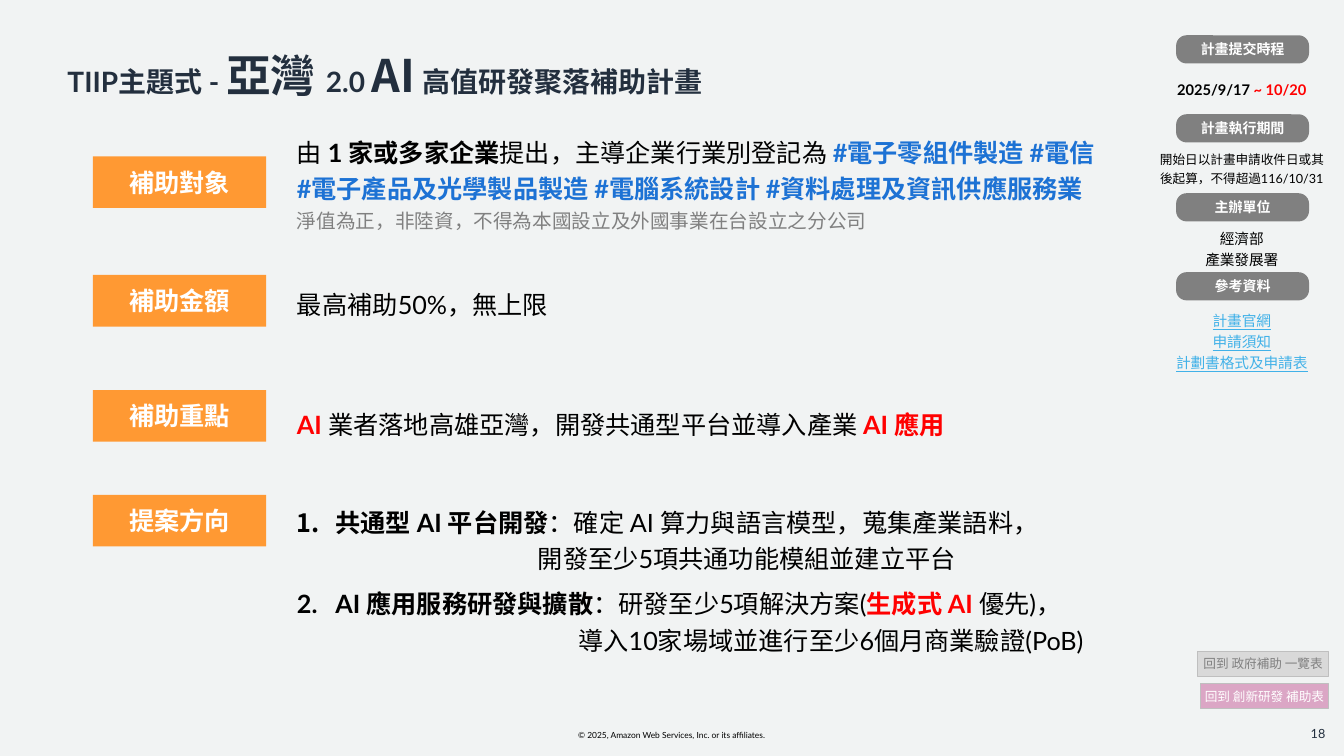
"""Build the slide on the TIIP themed subsidy programme."""
from lxml.etree import SubElement
from pptx import Presentation
from pptx.dml.color import RGBColor
from pptx.enum.shapes import MSO_SHAPE as Shape
from pptx.enum.text import MSO_ANCHOR as Anchor, MSO_AUTO_SIZE as AutoSize, PP_ALIGN as Align
from pptx.oxml.ns import qn
from pptx.util import Cm, Pt

COLORS = {
    "paper": "F1F3F3", "navy": "232F3E", "black": "000000", "white": "FFFFFF",
    "red": "FF0000", "blue": "1D72D4", "link": "41B1E8", "gray": "808080",
    "orange": "FF9933", "silver": "D9D9D9", "edge": "BFBFBF", "pink": "C65A98",
}
LATIN, EAST_ASIAN = "Lato", "Noto Sans CJK SC"
PLAIN_TABLE = "{2D5ABB26-0587-4C30-8999-92F81FD0307C}"
BOLD = {"bold": True}
KEY = {"bold": True, "color": "red"}
TAG = {"bold": True, "color": "blue"}
LINK = {"underline": True, "color": "link"}


def rgb(name):
    """Return the named colour."""
    return RGBColor.from_string(COLORS[name])


def apply(target, values):
    """Set every attribute in the dict on the target."""
    for attribute, value in values.items():
        setattr(target, attribute, value)


def add_run(paragraph, text, size, color="black", font=LATIN, **styles):
    """Add one formatted run to a paragraph."""
    run = paragraph.add_run()
    run.text = text
    apply(run.font, {"size": Pt(size), "name": font, **styles})
    run.font.color.rgb = rgb(color)
    SubElement(run.font._element, qn("a:ea"), typeface=EAST_ASIAN)


def write(frame, lines, base, **layout):
    """Fill a text frame with lines of (text, style) runs."""
    for index, runs in enumerate(lines):
        paragraph = frame.add_paragraph() if index else frame.paragraphs[0]
        apply(paragraph, layout)
        for text, style in runs:
            add_run(paragraph, text, **{**base, **style})


def set_frame(frame, side=0.0, anchor=Anchor.MIDDLE):
    """Set the insets, wrapping and anchor of a text frame."""
    apply(frame, {
        "margin_left": Cm(side), "margin_right": Cm(side),
        "margin_top": Cm(0.13), "margin_bottom": Cm(0.13),
        "word_wrap": True, "auto_size": AutoSize.NONE, "vertical_anchor": anchor,
    })


def add_label(slide, kind, box, text, fill, base, side=0.13, edge=None):
    """Add a filled shape with one centred line of text."""
    label = slide.shapes.add_shape(kind, *map(Cm, box))
    label.shadow.inherit = False
    label.fill.solid()
    label.fill.fore_color.rgb = rgb(fill)
    if edge:
        label.line.color.rgb = rgb(edge)
        label.line.width = Pt(0.75)
    else:
        label.line.fill.background()
    set_frame(label.text_frame, side)
    write(label.text_frame, [[(text, {})]], base, alignment=Align.CENTER)
    return label


def add_note(slide, box, text, base, alignment):
    """Add a small text box."""
    frame = slide.shapes.add_textbox(*map(Cm, box)).text_frame
    set_frame(frame)
    write(frame, [[(text, {})]], base, alignment=alignment)


def add_plain_table(slide, box, widths, heights):
    """Add a table without style, fills or banding."""
    table = slide.shapes.add_table(len(heights), len(widths), *map(Cm, box)).table
    apply(table, {"first_row": False, "horz_banding": False})
    table._tbl.tblPr.find(qn("a:tableStyleId")).text = PLAIN_TABLE
    for column, width in zip(table.columns, widths):
        column.width = Cm(width)
    for row, height in zip(table.rows, heights):
        row.height = Cm(height)
    for cell in table.iter_cells():
        cell.fill.background()
        cell.vertical_anchor = Anchor.MIDDLE
    return table


def indent(paragraph, left, number=None):
    """Indent a paragraph and number it when a number is given."""
    properties = paragraph._p.get_or_add_pPr()
    properties.set("marL", str(Cm(left)))
    if number:
        properties.set("indent", str(-Cm(left)))
        SubElement(properties, qn("a:buFont"), typeface="+mj-lt")
        SubElement(properties, qn("a:buAutoNum"), type="arabicPeriod", startAt=str(number))
    else:
        paragraph.space_after = Pt(6)


def add_title(slide):
    """Place and fill the title."""
    title = slide.shapes.title
    apply(title, {"left": Cm(1.7), "top": Cm(1.22), "width": Cm(27.56), "height": Cm(1.5)})
    set_frame(title.text_frame, anchor=Anchor.TOP)
    large = {"size": 32, "font": EAST_ASIAN}
    write(title.text_frame, [[
        ("TIIP主題式 - ", {}), ("亞灣 ", large), ("2.0 ", {}),
        ("AI", large), (" 高值研發聚落補助計畫", {}),
    ]], {"size": 20, "color": "navy", "bold": True}, alignment=Align.LEFT, line_spacing=0.9)


def add_schedule(slide):
    """Add the side column of dates, organiser and references."""
    sections = {
        "計畫提交時程": [[("2025/9/17 ", BOLD), ("~ 10/20", KEY)]],
        "計畫執行期間": [[("開始日以計畫申請收件日或其後起算，不得超過116/10/31", {"size": 9})]],
        "主辦單位": [[("經濟部", {})], [("產業發展署", {})]],
        "參考資料": [[(name, LINK)] for name in ("計畫官網", "申請須知", "計劃書格式及申請表")],
    }
    table = add_plain_table(slide, (28.88, 0.89, 4.83, 8.28), [4.83], [0.74, 1.25] * 4)
    heading = {"size": 10, "color": "white", "bold": True}
    for index, (name, lines) in enumerate(sections.items()):
        gap = table.cell(2 * index, 0).text_frame.paragraphs[0]
        gap._p.get_or_add_endParaRPr().set("sz", "800")
        write(table.cell(2 * index + 1, 0).text_frame, lines, {"size": 10.5},
              alignment=Align.CENTER)
        pill = add_label(slide, Shape.ROUNDED_RECTANGLE, (29.64, 0.89 + 1.99 * index, 3.35, 0.71),
                         name, "gray", heading)
        pill.adjustments[0] = 0.37


def add_programme(slide):
    """Add the main table and its orange row labels."""
    table = add_plain_table(slide, (1.57, 3.12, 27.68, 12.7), [5.66, 22.02],
                            [3.02, 3.02, 3.02, 3.63])
    sections = {
        "補助對象": (3.94, [
            [("由 ", {}), ("1 家或多家企業", BOLD), ("提出，主導企業行業別登記為 ", {}),
             ("#電子零組件製造 #電信", TAG)],
            [("#電子產品及光學製品製造 #電腦系統設計 #資料處理及資訊供應服務業", TAG)],
            [("淨值為正，非陸資，不得為本國設立及外國事業在台設立之分公司",
              {"size": 14, "color": "gray"})],
        ]),
        "補助金額": (6.93, [[("最高補助50%，無上限", {})]]),
        "補助重點": (9.83, [[("AI", KEY), (" 業者落地高雄亞灣，開發共通型平台並導入產業 ", {}),
                         ("AI 應用", KEY)]]),
        "提案方向": (12.47, [
            [("共通型 AI 平台開發", BOLD), ("：確定 AI 算力與語言模型，蒐集產業語料，", {})],
            [("開發至少5項共通功能模組並建立平台", {})],
            [("AI 應用服務研發與擴散", BOLD), ("：研發至少5項解決方案(", {}),
             ("生成式 AI ", KEY), ("優先)，", {})],
            [("導入10家場域並進行至少6個月商業驗證(PoB)", {})],
        ]),
    }
    heading = {"size": 18, "color": "white", "bold": True}
    for row, (name, (top, lines)) in enumerate(sections.items()):
        write(table.cell(row, 1).text_frame, lines, {"size": 18})
        add_label(slide, Shape.RECTANGLE, (2.34, top, 4.37, 1.3), name, "orange", heading)
    directions = table.cell(3, 1)
    directions.margin_top = Cm(0.5)
    for paragraph, left, number in zip(directions.text_frame.paragraphs,
                                       (0.97, 6.07, 0.97, 7.09), (1, None, 2, None)):
        indent(paragraph, left, number)


def add_return_labels(slide):
    """Add the two return labels at the lower right."""
    add_label(slide, Shape.RECTANGLE, (30.18, 16.41, 3.3, 0.64), "回到 政府補助 一覽表",
              "silver", {"size": 9, "color": "gray"}, 0, "edge")
    innovation = add_label(slide, Shape.RECTANGLE, (30.25, 17.22, 3.23, 0.64),
                           "回到 創新研發 補助表", "pink", {"size": 9, "color": "white"}, 0, "edge")
    tint = innovation._element.spPr.find(qn("a:solidFill"))[0]
    SubElement(tint, qn("a:alpha"), val="50000")


def main():
    """Build and save the presentation."""
    deck = Presentation()
    apply(deck, {"slide_width": Cm(33.87), "slide_height": Cm(19.05)})
    slide = deck.slides.add_slide(deck.slide_layouts[5])
    slide.background.fill.solid()
    slide.background.fill.fore_color.rgb = rgb("paper")
    add_note(slide, (14.22, 18.26, 5.41, 0.51),
             "© 2025, Amazon Web Services, Inc. or its affiliates.", {"size": 6}, Align.CENTER)
    add_title(slide)
    add_schedule(slide)
    add_note(slide, (31.95, 18.19, 1.45, 0.61), "18", {"size": 9, "color": "navy"}, Align.RIGHT)
    add_programme(slide)
    add_return_labels(slide)
    deck.save("out.pptx")


if __name__ == "__main__":
    main()
